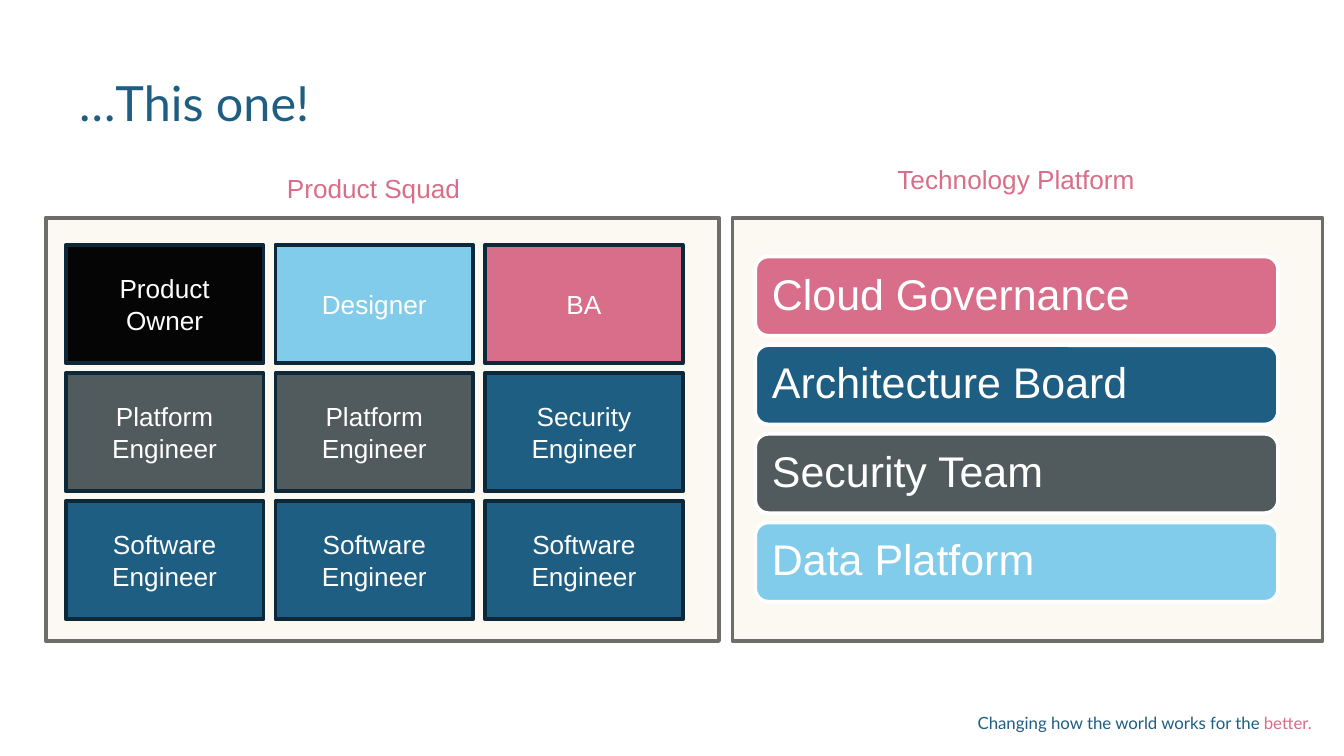
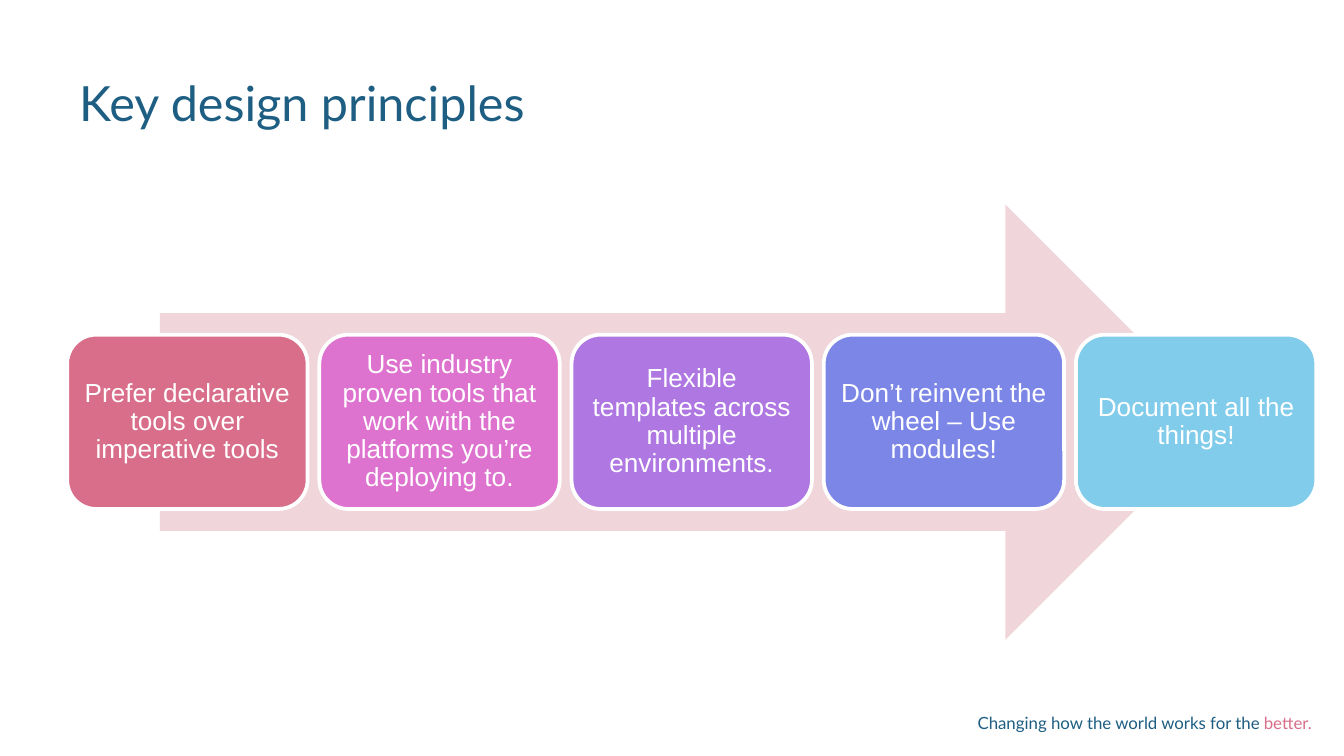
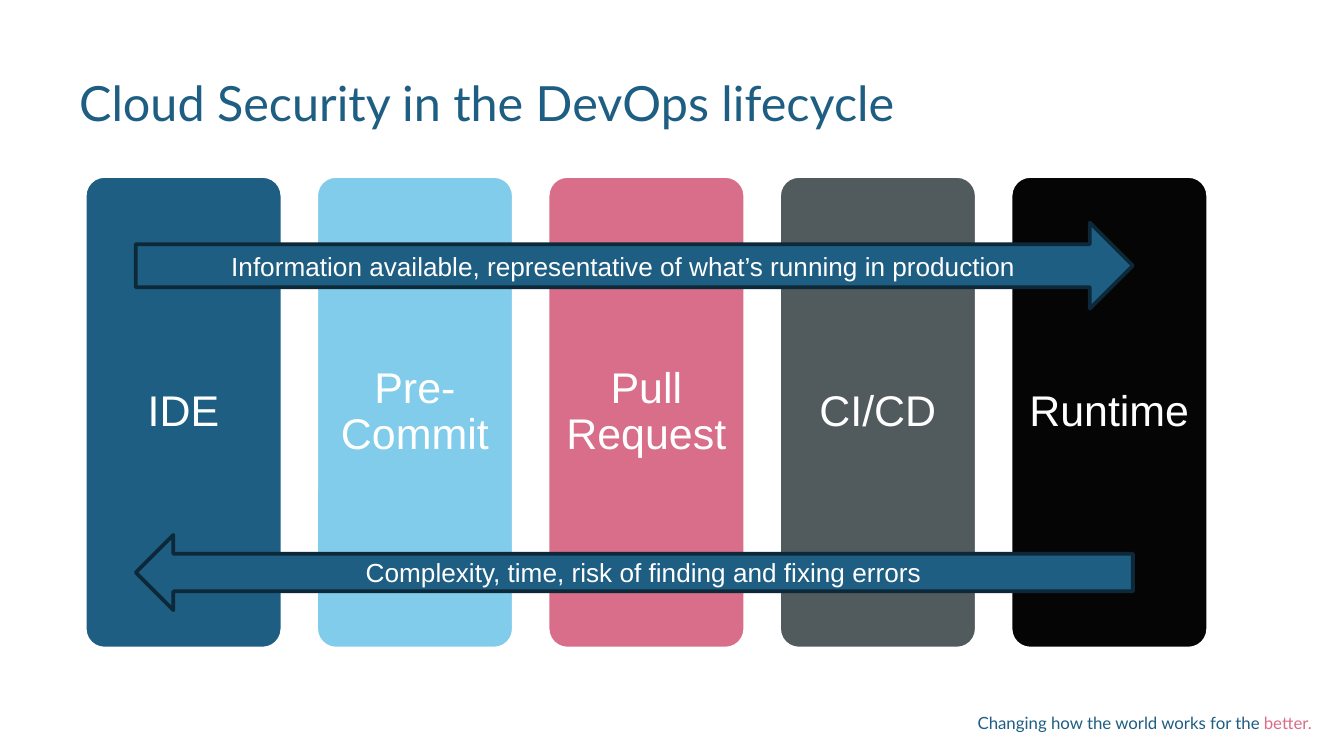
from dataclasses import dataclass
from typing import Iterator, Optional

import pptx
import pptx.dml.color
import pptx.enum.shapes
import pptx.enum.text
import pptx.presentation
import pptx.slide
import pptx.text.text
import pptx.util

Pt = pptx.util.Pt
Shapes = pptx.enum.shapes.MSO_SHAPE
Align = pptx.enum.text.PP_ALIGN
Anchor = pptx.enum.text.MSO_ANCHOR

# Palette
BLUE, SKY, PINK, SLATE, BLACK = "1E5E82", "81CCEA", "D86E89", "515A5D", "050505"
WHITE, NAVY, CREAM, GREY, BLUSH = "FFFFFF", "0D2939", "FCF8F2", "6E6D6A", "F0D5DA"
MAGENTA, VIOLET, PERIWINKLE = "DD72CF", "AE77E2", "7C86E6"

HEADING_FONT, BODY_FONT = "Lato", "Arial"
LINE_WIDTH = 2
BODY_SIZE, LARGE_SIZE = 14, 23


@dataclass(frozen=True)
class Box:
    left: float
    top: float
    width: float
    height: float

    def lengths(self) -> tuple[int, ...]:
        return tuple(Pt(v) for v in (self.left, self.top, self.width, self.height))


@dataclass(frozen=True)
class Grid:
    """Equal cells, filled row by row from the first cell."""
    first: Box
    columns: int
    gap_x: float = 0
    gap_y: float = 0

    def cells(self, count: int) -> Iterator[Box]:
        for index in range(count):
            row, column = divmod(index, self.columns)
            yield Box(self.first.left + column * (self.first.width + self.gap_x),
                      self.first.top + row * (self.first.height + self.gap_y),
                      self.first.width, self.first.height)


@dataclass(frozen=True)
class Item:
    text: str
    fill: str


@dataclass(frozen=True)
class Style:
    """Look of a filled shape and of the text in it."""
    shape: Shapes
    outline: Optional[str] = None
    size: float = BODY_SIZE
    align: Align = Align.CENTER
    spacing: float = 1.0
    inset: Optional[float] = None
    corner: Optional[float] = None


def card_style(size: float, align: Align = Align.CENTER,
               corner: Optional[float] = None) -> Style:
    """Rounded card with insets in proportion to its text."""
    return Style(Shapes.ROUNDED_RECTANGLE, WHITE, size, align, 0.9, size * 0.3, corner)


FRAME = Style(Shapes.RECTANGLE, GREY)
ROLE = Style(Shapes.RECTANGLE, NAVY)
FORWARD = Style(Shapes.RIGHT_ARROW, NAVY)
BACKWARD = Style(Shapes.LEFT_ARROW, NAVY)
BACKDROP = Style(Shapes.RIGHT_ARROW)


def rgb(colour: str) -> pptx.dml.color.RGBColor:
    return pptx.dml.color.RGBColor.from_string(colour)


def set_insets(frame: pptx.text.text.TextFrame, inset: float) -> None:
    frame.margin_left = frame.margin_right = Pt(inset)
    frame.margin_top = frame.margin_bottom = Pt(inset)


def format_paragraph(paragraph, font: str, size: float, colour: str,
                     align: Align, spacing: float = 1.0) -> None:
    paragraph.alignment = align
    paragraph.line_spacing = spacing
    paragraph.font.name = font
    paragraph.font.size = Pt(size)
    paragraph.font.color.rgb = rgb(colour)


def add_block(slide: pptx.slide.Slide, box: Box, style: Style, item: Item) -> None:
    block = slide.shapes.add_shape(style.shape, *box.lengths())
    block.shadow.inherit = False
    block.fill.solid()
    block.fill.fore_color.rgb = rgb(item.fill)
    if style.outline:
        block.line.color.rgb = rgb(style.outline)
        block.line.width = Pt(LINE_WIDTH)
    else:
        block.line.fill.background()
    if style.corner is not None:
        block.adjustments[0] = style.corner
    if item.text:
        frame = block.text_frame
        frame.word_wrap = True
        frame.vertical_anchor = Anchor.MIDDLE
        if style.inset is not None:
            set_insets(frame, style.inset)
        frame.text = item.text
        format_paragraph(frame.paragraphs[0], BODY_FONT, style.size, WHITE,
                         style.align, style.spacing)


def add_grid(slide: pptx.slide.Slide, grid: Grid, style: Style, items: list[Item]) -> None:
    for box, item in zip(grid.cells(len(items)), items):
        add_block(slide, box, style, item)


def add_text(slide: pptx.slide.Slide, box: Box) -> pptx.text.text.TextFrame:
    frame = slide.shapes.add_textbox(*box.lengths()).text_frame
    frame.word_wrap = True
    return frame


def add_label(slide: pptx.slide.Slide, box: Box, text: str) -> None:
    frame = add_text(slide, box)
    frame.text = text
    format_paragraph(frame.paragraphs[0], BODY_FONT, BODY_SIZE, PINK, Align.CENTER)


def add_slide(deck: pptx.presentation.Presentation, title: str) -> pptx.slide.Slide:
    """Blank slide with the shared tagline and title."""
    slide = deck.slides.add_slide(deck.slide_layouts[6])

    tagline = add_text(slide, Box(511.9, 381.6, 190.8, 12.2))
    set_insets(tagline, 0)
    paragraph = tagline.paragraphs[0]
    format_paragraph(paragraph, HEADING_FONT, 9, BLUE, Align.RIGHT)
    paragraph.add_run().text = "Changing how the world works for the "
    accent = paragraph.add_run()
    accent.text = "better."
    accent.font.color.rgb = rgb(PINK)

    heading = add_text(slide, Box(35.3, 35.3, 649.4, 35.3))
    set_insets(heading, 7.2)
    heading.text = title
    format_paragraph(heading.paragraphs[0], HEADING_FONT, 26, BLUE, Align.LEFT, 0.9)
    return slide


def build_teams(deck: pptx.presentation.Presentation) -> None:
    slide = add_slide(deck, "…This one!")

    # Product squad
    add_block(slide, Box(24.5, 116.6, 360.7, 226.8), FRAME, Item("", CREAM))
    add_label(slide, Box(93.6, 88.6, 213.1, 24.5), "Product Squad")
    software = Item("Software Engineer", BLUE)
    platform = Item("Platform Engineer", SLATE)
    add_grid(slide, Grid(Box(35.3, 131.2, 105.9, 63.4), 3, 6.4, 5.2), ROLE, [
        Item("Product Owner", BLACK), Item("Designer", SKY), Item("BA", PINK),
        platform, platform, Item("Security Engineer", BLUE),
        software, software, software,
    ])

    # Technology platform
    add_block(slide, Box(392.4, 116.6, 316.1, 226.8), FRAME, Item("", CREAM))
    add_label(slide, Box(437.8, 84.2, 213.1, 24.5), "Technology Platform")
    add_grid(slide, Grid(Box(404.6, 137.4, 280.1, 42.5), 1, gap_y=5),
             card_style(LARGE_SIZE, Align.LEFT), [
        Item("Cloud Governance", PINK),
        Item("Architecture Board", BLUE),
        Item("Security Team", SLATE),
        Item("Data Platform", SKY),
    ])


def build_principles(deck: pptx.presentation.Presentation) -> None:
    slide = add_slide(deck, "Key design principles")
    add_block(slide, Box(85.7, 109.5, 569.5, 233.3), BACKDROP, Item("", BLUSH))
    add_grid(slide, Grid(Box(36, 179.3, 128.8, 93.4), 5, 6.3), card_style(BODY_SIZE), [
        Item("Prefer declarative tools over imperative tools", PINK),
        Item("Use industry proven tools that work with the platforms "
             "you’re deploying to.", MAGENTA),
        Item("Flexible templates across multiple environments.", VIOLET),
        Item("Don’t reinvent the wheel – Use modules!", PERIWINKLE),
        Item("Document all the things!", SKY),
    ])


def build_lifecycle(deck: pptx.presentation.Presentation) -> None:
    slide = add_slide(deck, "Cloud Security in the DevOps lifecycle")

    # Stages
    add_grid(slide, Grid(Box(45.4, 94.3, 105.9, 253.2), 5, 18.1),
             card_style(LARGE_SIZE, corner=0.1), [
        Item("IDE", BLUE),
        Item("Pre-Commit", SKY),
        Item("Pull Request", PINK),
        Item("CI/CD", SLATE),
        Item("Runtime", BLACK),
    ])

    # Trends across the stages
    add_block(slide, Box(72.7, 119.3, 534.2, 46.1), FORWARD, Item(
        "Information available, representative of what’s running in production", BLUE))
    add_block(slide, Box(72.7, 286.6, 534.2, 40.3), BACKWARD, Item(
        "Complexity, time, risk of finding and fixing errors", BLUE))


def main() -> None:
    deck = pptx.Presentation()
    deck.slide_width, deck.slide_height = Pt(720), Pt(405)
    build_teams(deck)
    build_principles(deck)
    build_lifecycle(deck)
    deck.save("out.pptx")


if __name__ == "__main__":
    main()
